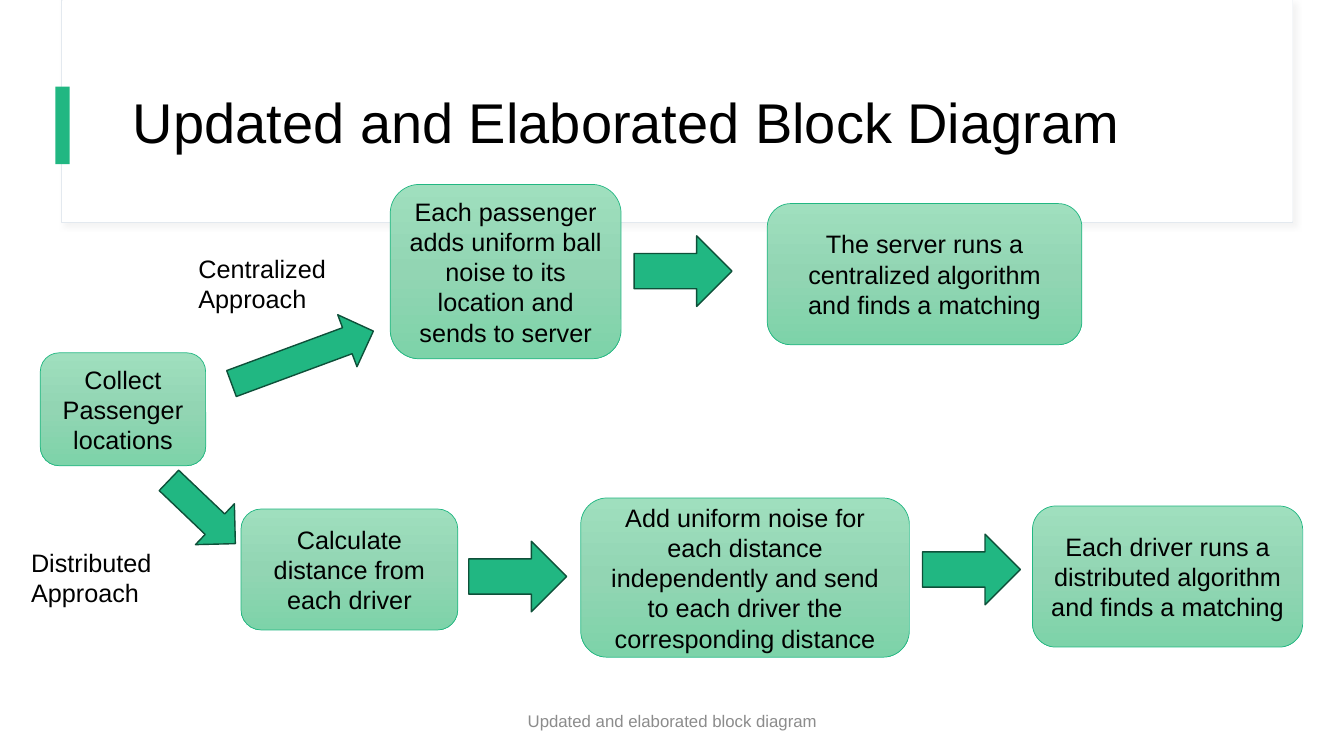
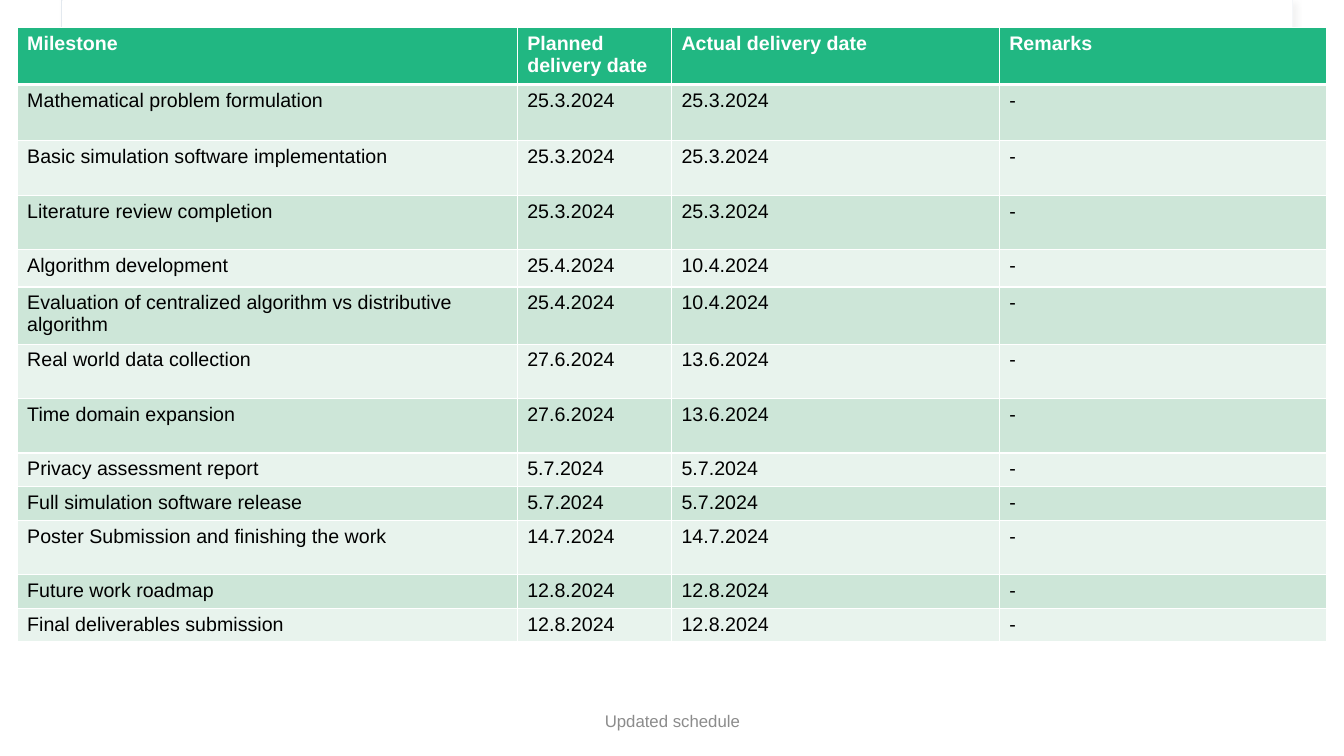
from copy import deepcopy

from lxml import etree
from pptx import Presentation
from pptx.dml.color import RGBColor as RGB
from pptx.enum.shapes import MSO_SHAPE as SHAPE
from pptx.enum.text import MSO_ANCHOR as ANCHOR, PP_ALIGN as ALIGN
from pptx.oxml import parse_xml
from pptx.oxml.ns import nsdecls, qn
from pptx.util import Inches, Pt

THEME = {
    "green": RGB.from_string("21B782"),
    "dark_green": RGB.from_string("0E5039"),
    "white": RGB.from_string("FFFFFF"),
    "panel_edge": RGB.from_string("E3E9EF"),
    "bands": [RGB.from_string("E8F3ED"), RGB.from_string("CDE6D8")],
    "step_gradient": [(0, "9FDFBE"), (0.5, "92D5B3"), (1, "7DD3A9")],
    "text": {
        "title": {"size": Pt(40), "color": "000000"},
        "body": {"size": Pt(18), "color": "000000"},
        "header": {"size": Pt(14), "color": "FFFFFF", "bold": True},
        "cell": {"size": Pt(14), "color": "000000", "bold": False},
        "footer": {"size": Pt(12), "color": "8C8C8C"},
    },
}


def write(frame, text, style, align=ALIGN.LEFT, anchor=ANCHOR.TOP):
    """Fill a text frame with one paragraph in a theme text style."""
    frame.word_wrap = True
    frame.vertical_anchor = anchor
    paragraph = frame.paragraphs[0]
    paragraph.alignment = align
    run = paragraph.add_run()
    run.text = text
    run.font.name = "Arial"
    for name, value in THEME["text"][style].items():
        if name == "color":
            run.font.color.rgb = RGB.from_string(value)
        else:
            setattr(run.font, name, value)
    return paragraph


def add_block(slide, kind, at, fill=None, line=None, width=0.5, rotation=0):
    """Add a preset shape; no fill colour means the step gradient."""
    block = slide.shapes.add_shape(kind, *map(Inches, at))
    block.shadow.inherit = False
    block.rotation = rotation
    if fill is None:
        block.fill.gradient()
        block.fill.gradient_angle = 270
        stops = block._element.spPr.find(qn("a:gradFill")).find(qn("a:gsLst"))
        stops.insert(1, deepcopy(stops[0]))
        for stop, (position, color) in zip(block.fill.gradient_stops, THEME["step_gradient"]):
            stop.position = position
            stop.color.rgb = RGB.from_string(color)
    else:
        block.fill.solid()
        block.fill.fore_color.rgb = fill
    if line is None:
        block.line.fill.background()
    else:
        block.line.color.rgb = line
        block.line.width = Pt(width)
    return block


prs = Presentation()
prs.slide_width, prs.slide_height = Inches(13.33), Inches(7.5)

# Shared frame: top panel, accent bar and footer
footers = ["Updated and elaborated block diagram", "Updated schedule"]
for footer in footers:
    slide = prs.slides.add_slide(prs.slide_layouts[6])
    panel = add_block(slide, SHAPE.RECTANGLE, (0.61, 0, 12.21, 2.21),
                      THEME["white"], THEME["panel_edge"], 0.75)
    effects = panel._element.spPr.find(qn("a:effectLst"))
    shadow = etree.SubElement(effects, qn("a:outerShdw"), blurRad=str(Pt(4)),
                              dist=str(Pt(3)), dir=str(45 * 60000))
    shadow_color = etree.SubElement(shadow, qn("a:srgbClr"), val="D9D9D9")
    etree.SubElement(shadow_color, qn("a:alpha"), val="30000")
    add_block(slide, SHAPE.RECTANGLE, (0.62, 0, 12.2, 2.2), THEME["white"])
    add_block(slide, SHAPE.RECTANGLE, (0.55, 0.86, 0.14, 0.77), THEME["green"])
    footer_box = slide.shapes.add_textbox(*map(Inches, (4.42, 6.95, 4.5, 0.4)))
    write(footer_box.text_frame, footer, "footer", ALIGN.CENTER, ANCHOR.MIDDLE)

diagram, schedule = prs.slides

# Block diagram
title = diagram.shapes.add_textbox(*map(Inches, (1.22, 0.6, 11.12, 1.29)))
write(title.text_frame, "Updated and Elaborated Block Diagram", "title",
      anchor=ANCHOR.MIDDLE).line_spacing = 0.9

steps = [
    ((0.4, 3.5, 1.64, 1.12), "Collect Passenger locations"),
    ((3.87, 1.83, 2.29, 1.73),
     "Each passenger adds uniform ball noise to its location and sends to server"),
    ((7.61, 2.02, 3.12, 1.4), "The server runs a centralized algorithm and finds a matching"),
    ((2.39, 5.05, 2.15, 1.2), "Calculate distance from each driver"),
    ((5.76, 4.94, 3.26, 1.58),
     "Add uniform noise for each distance independently and send to each driver "
     "the corresponding distance"),
    ((10.24, 5.02, 2.68, 1.4), "Each driver runs a distributed algorithm and finds a matching"),
]
for at, text in steps:
    step = add_block(diagram, SHAPE.FLOWCHART_ALTERNATE_PROCESS, at, line=THEME["green"])
    write(step.text_frame, text, "body", ALIGN.CENTER, ANCHOR.MIDDLE)

arrow_size = (0.97, 0.7)
arrows = [
    ((2.25, 3.27, 1.5, 0.55), 339.7),
    ((1.55, 4.8, 0.91, 0.56), 43.6),
    ((6.29, 2.34, *arrow_size), 0),
    ((4.65, 5.37, *arrow_size), 0),
    ((9.15, 5.3, *arrow_size), 0),
]
for at, rotation in arrows:
    add_block(diagram, SHAPE.RIGHT_ARROW, at, THEME["green"], THEME["dark_green"], 1, rotation)

for left, top, approach in [(1.87, 2.46, "Centralized Approach"),
                            (0.21, 5.38, "Distributed Approach")]:
    label = diagram.shapes.add_textbox(*map(Inches, (left, top, 1.93, 0.71)))
    write(label.text_frame, approach, "body")

# Schedule table: row height, then the cells
milestones = [
    (0.53, "Milestone", "Planned delivery date", "Actual delivery date", "Remarks"),
    (0.56, "Mathematical problem formulation", "25.3.2024", "25.3.2024", "-"),
    (0.54, "Basic simulation software implementation", "25.3.2024", "25.3.2024", "-"),
    (0.54, "Literature review completion", "25.3.2024", "25.3.2024", "-"),
    (0.37, "Algorithm development", "25.4.2024", "10.4.2024", "-"),
    (0.54, "Evaluation of centralized algorithm vs distributive algorithm",
     "25.4.2024", "10.4.2024", "-"),
    (0.54, "Real world data collection", "27.6.2024", "13.6.2024", "-"),
    (0.54, "Time domain expansion", "27.6.2024", "13.6.2024", "-"),
    (0.32, "Privacy assessment report", "5.7.2024", "5.7.2024", "-"),
    (0.32, "Full simulation software release", "5.7.2024", "5.7.2024", "-"),
    (0.54, "Poster Submission and finishing the work", "14.7.2024", "14.7.2024", "-"),
    (0.32, "Future work roadmap", "12.8.2024", "12.8.2024", "-"),
    (0.32, "Final deliverables submission", "12.8.2024", "12.8.2024", "-"),
]
column_widths = [4.96, 1.53, 3.25, 3.25]
table_height = sum(row[0] for row in milestones)
table = schedule.shapes.add_table(
    len(milestones), len(column_widths), Inches(0.17), Inches(0.27),
    Inches(sum(column_widths)), Inches(table_height)).table
for column, width in zip(table.columns, column_widths):
    column.width = Inches(width)

for r, (height, *texts) in enumerate(milestones):
    table.rows[r].height = Inches(height)
    for c, text in enumerate(texts):
        cell = table.cell(r, c)
        write(cell.text_frame, text, "cell" if r else "header")
        for side in "LRTB":
            under_header = (r, side) in [(0, "B"), (1, "T")]
            cell._tc.get_or_add_tcPr().append(parse_xml(
                f'<a:ln{side} {nsdecls("a")} w="{Pt(3 if under_header else 1)}">'
                f'<a:solidFill><a:srgbClr val="{THEME["white"]}"/></a:solidFill></a:ln{side}>'))
        cell.fill.solid()
        cell.fill.fore_color.rgb = THEME["bands"][r % 2] if r else THEME["green"]

prs.save("out.pptx")
